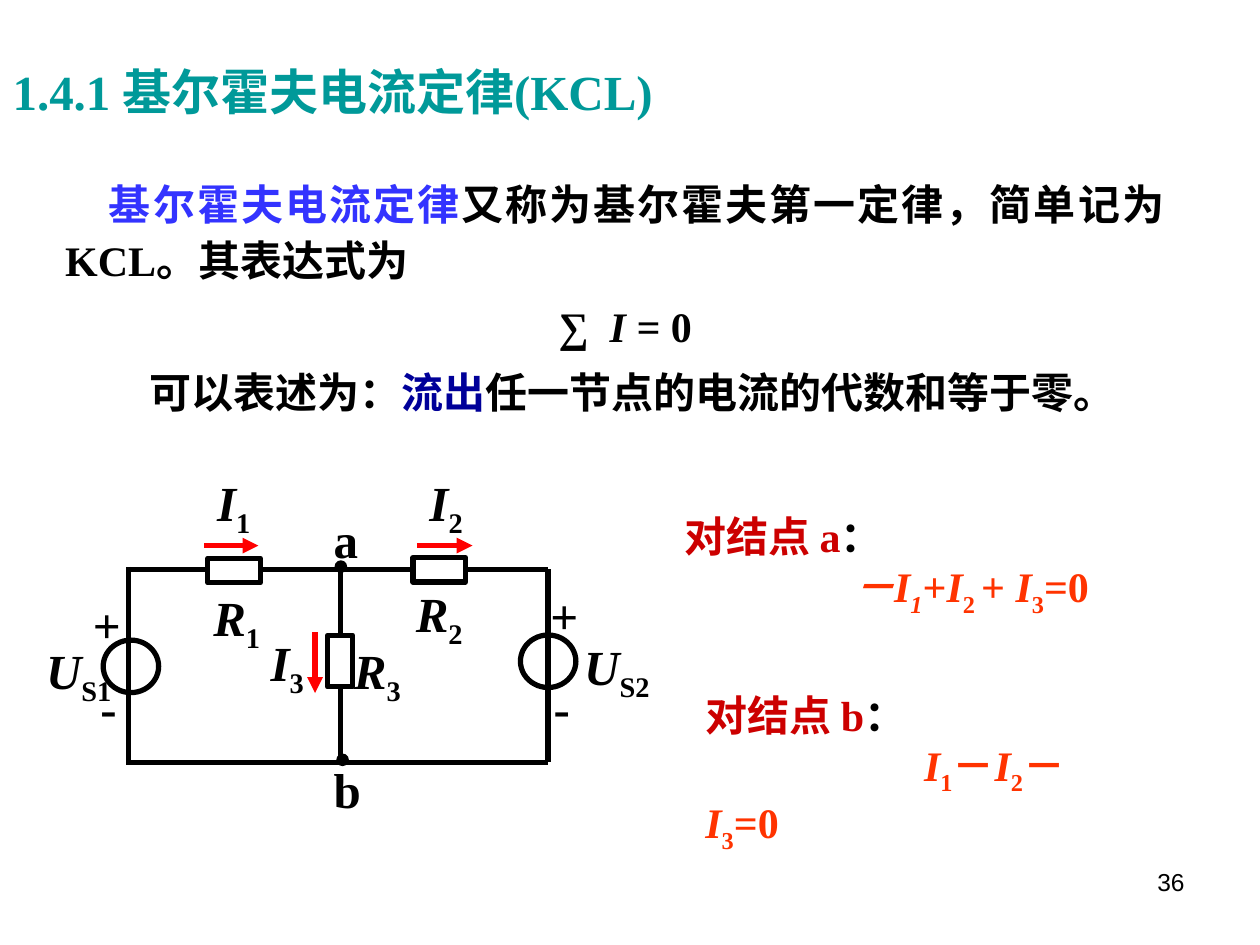
from dataclasses import dataclass

from lxml.etree import SubElement
from pptx import Presentation
from pptx.dml.color import RGBColor
from pptx.enum.shapes import MSO_CONNECTOR, MSO_SHAPE
from pptx.enum.text import MSO_ANCHOR, MSO_AUTO_SIZE, PP_ALIGN
from pptx.oxml.ns import qn
from pptx.util import Pt


@dataclass(frozen=True)
class Theme:
    serif: str = "Times New Roman"
    sans: str = "Arial"
    title: str = "009999"
    ink: str = "000000"
    term: str = "3333FF"
    accent: str = "000099"
    node: str = "CC0000"
    equation: str = "FF3300"
    current: str = "FF0000"
    big: int = 28
    body: int = 24
    small: int = 14
    stroke: int = 3


T = Theme()


def rgb(color):
    return RGBColor.from_string(color)


def style(p, size, color=T.ink, font=T.serif, bold=True):
    p.font.size, p.font.name, p.font.bold = Pt(size), font, bold
    p.font.color.rgb = rgb(color)


def add_runs(p, runs):
    """Add (text, flags, color) runs, where flag i is italic and s is subscript."""
    for text, flags, color in runs:
        r = p.add_run()
        r.text = text
        if "i" in flags:
            r.font.italic = True
        if "s" in flags:
            r.font._element.set("baseline", "-25000")
        if color:
            r.font.color.rgb = rgb(color)


def symbol(letter, index, color=None):
    return [(letter, "i", color), (index, "s", color)]


def text_box(s, box, paragraphs, size, align=PP_ALIGN.LEFT, margins=(7.2, 3.6),
             wrap=True, spacing=None, before=0, font=T.serif, bold=True):
    """Add a text box of (first-line indent, runs) paragraphs."""
    tf = s.shapes.add_textbox(*map(Pt, box)).text_frame
    tf.word_wrap = wrap
    tf.margin_left = tf.margin_right = Pt(margins[0])
    tf.margin_top = tf.margin_bottom = Pt(margins[1])
    for i, (indent, runs) in enumerate(paragraphs):
        p = tf.add_paragraph() if i else tf.paragraphs[0]
        p.alignment = align
        if spacing:
            p.line_spacing = spacing
        if i and before:
            p.space_before = Pt(before)
        if indent:
            p._p.get_or_add_pPr().set("indent", str(Pt(indent)))
        style(p, size, font=font, bold=bold)
        add_runs(p, runs)
    return tf


def label(s, x, y, w, runs):
    text_box(s, (x, y, w, 34), [(0, runs)], T.big, PP_ALIGN.CENTER, (0, 0))


def line(s, x1, y1, x2, y2, color=T.ink, arrow=False):
    c = s.shapes.add_connector(MSO_CONNECTOR.STRAIGHT, *map(Pt, (x1, y1, x2, y2)))
    c.line.color.rgb, c.line.width = rgb(color), Pt(T.stroke)
    if arrow:
        SubElement(c.line._get_or_add_ln(), qn("a:tailEnd"), type="triangle")
    SubElement(c._element.spPr, qn("a:effectLst"))


def shape(s, kind, x, y, w, h, filled=False):
    sp = s.shapes.add_shape(kind, *map(Pt, (x, y, w, h)))
    sp.shadow.inherit = False
    if filled:
        sp.fill.solid()
        sp.fill.fore_color.rgb = rgb(T.ink)
        sp.line.fill.background()
    else:
        sp.fill.background()
        sp.line.color.rgb, sp.line.width = rgb(T.ink), Pt(T.stroke)


def add_title(s):
    sp = s.shapes.title
    sp.left, sp.top, sp.width, sp.height = map(Pt, (0, 31.7, 408, 41))
    tf = sp.text_frame
    tf.vertical_anchor, tf.auto_size = MSO_ANCHOR.TOP, MSO_AUTO_SIZE.NONE
    p = tf.paragraphs[0]
    p.alignment = PP_ALIGN.LEFT
    style(p, T.big, T.title)
    p.add_run().text = "1.4.1 基尔霍夫电流定律(KCL)"


def add_law(s):
    tf = text_box(s, (30.2, 95.8, 642.2, 149.8), [
        (25, [("基尔霍夫电流定律", "", T.term),
              ("又称为基尔霍夫第一定律，简单记为KCL。其表达式为", "", None)]),
        (282, [("∑ ", "", None), (" I = ", "i", None), ("0", "", None)]),
        (48, [("可以表述为：", "", None), ("流出", "", T.accent),
              ("任一节点的电流的代数和等于零。", "", None)]),
    ], T.body, spacing=1.1, before=6)
    tf.paragraphs[0].alignment = PP_ALIGN.JUSTIFY


def add_node_equation(s, box, node, indent, runs):
    heading = [(f"对结点 {node}", "", T.node), ("：", "", None)]
    equation = [(text, flags, T.equation) for text, flags, _ in runs]
    text_box(s, box, [(0, heading), (indent, equation)], T.body)


def add_wires(s):
    top, bottom, left, mid, right = 325.4, 435.6, 73.4, 194.4, 313.2
    for x1, x2 in ((left, 118.8), (149.8, 236.2), (265, right)):
        line(s, x1, top, x2, top)
    line(s, left, bottom, right, bottom)
    line(s, left, top - 1.5, left, bottom + 1.5)
    line(s, right, top, right, bottom)
    line(s, mid, top, mid, 363.6)
    line(s, mid, 392.4, mid, bottom)


def add_parts(s):
    for x, y in ((59, 365.8), (297.4, 362.9)):
        shape(s, MSO_SHAPE.OVAL, x, y, 31.7, 30)
    for x, y in ((191.2, 320.2), (192.2, 430.6)):
        shape(s, MSO_SHAPE.OVAL, x, y, 7.2, 7.2, filled=True)
    for x, y, w, h in ((118.8, 319, 30, 14), (236, 318.6, 30, 14), (187.2, 363, 14.4, 29.5)):
        shape(s, MSO_SHAPE.RECTANGLE, x, y, w, h)
    for ends in ((116.6, 311.8, 147.6, 311.8), (238.3, 311.8, 270, 311.8),
                 (180, 361.4, 180, 396)):
        line(s, *ends, T.current, arrow=True)


def add_labels(s):
    for letter, index, x, y, w in (
            ("I", "1", 114.5, 270, 38.2), ("I", "2", 237.6, 270, 34.6),
            ("I", "3", 148.3, 361.4, 31.7), ("R", "1", 109.4, 335.5, 51.8),
            ("R", "2", 229.7, 333.4, 42.5), ("R", "3", 201.6, 365.8, 28.1),
            ("U", "S1", 18, 365.8, 54), ("U", "S2", 329.8, 363.6, 45.4)):
        label(s, x, y, w, symbol(letter, index))
    for sign, x, y in (("+", 47, 339.8), ("+", 308.5, 334.8),
                       ("-", 48, 387.4), ("-", 307, 387.4)):
        label(s, x, y, 28, [(sign, "", None)])
    for name, y in (("a", 296.6), ("b", 439.9)):
        text_box(s, (183.6, y, 30, 31), [(0, [(name, "", None)])], T.big,
                 wrap=False, spacing=0.7)


def main():
    prs = Presentation()
    prs.slide_width, prs.slide_height = Pt(720), Pt(540)
    s = prs.slides.add_slide(prs.slide_layouts[5])
    add_title(s)
    add_law(s)
    add_wires(s)
    add_parts(s)
    add_labels(s)
    add_node_equation(s, (383.8, 288, 265, 65.5), "a", 96, [
        ("－I", "i", None), ("1", "is", None), ("+", "", None),
        *symbol("I", "2 "), ("+ ", "", None), *symbol("I", "3"), ("=0", "", None)])
    add_node_equation(s, (396, 390.2, 247.7, 65.5), "b", 125, [
        *symbol("I", "1"), ("－", "", None), *symbol("I", "2"), ("－", "", None),
        *symbol("I", "3"), ("=0", "", None)])
    text_box(s, (516.2, 491.8, 167.8, 37.4), [(0, [("36", "", None)])], T.small,
             PP_ALIGN.RIGHT, font=T.sans, bold=False)
    prs.save("out.pptx")


if __name__ == "__main__":
    main()
